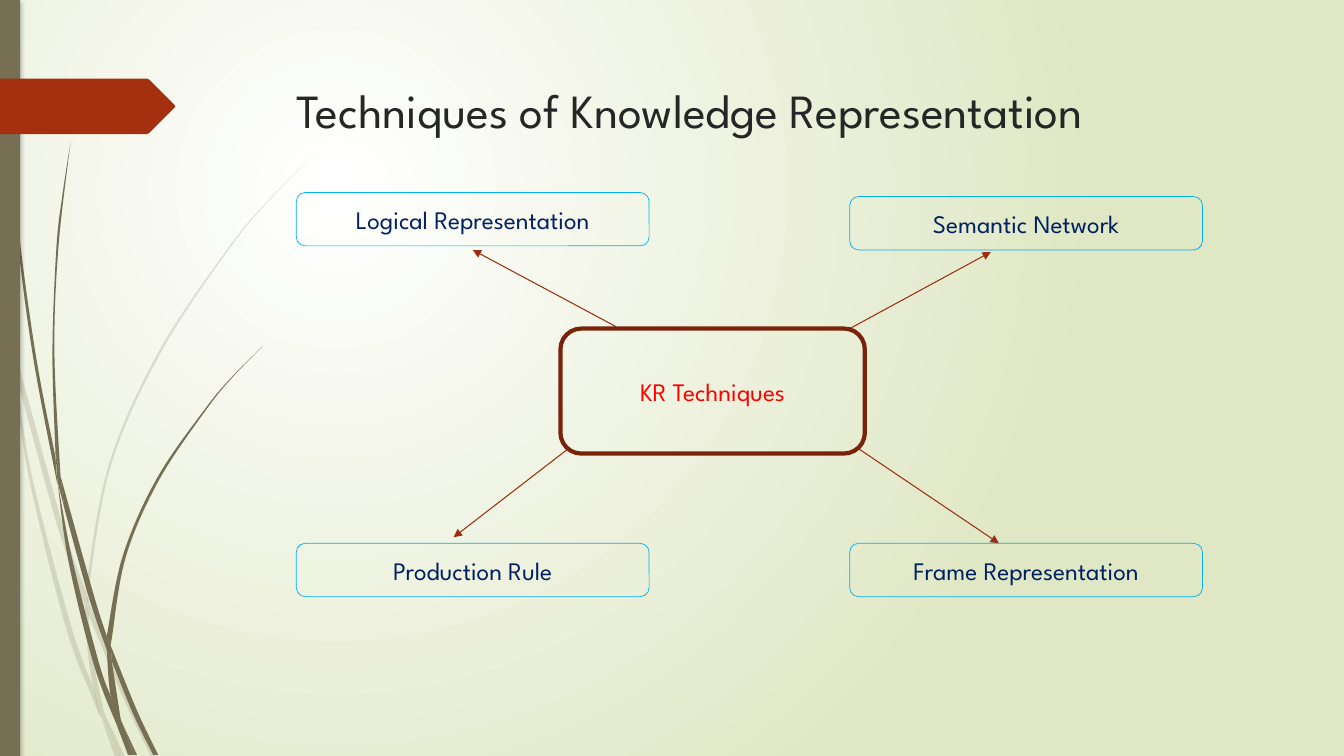
from lxml import etree
from pptx import Presentation
from pptx import util as u
from pptx.dml.color import RGBColor
from pptx.enum import shapes, text
from pptx.oxml.ns import qn

FONT = "League Spartan"
OLIVE, RUST, SKY, NAVY = "766F54", "A53010", "00B0F0", "002060"
TITLE = "Techniques of Knowledge Representation"
BOXES = [
    ("KR Techniques", (5.56, 3.26, 3.02, 1.24), "7A230B", 3, "FF0000"),
    ("Logical Representation", (2.94, 1.91, 3.5, 0.53), SKY, 0.5, NAVY),
    ("Semantic Network", (8.43, 1.95, 3.5, 0.53), SKY, 0.5, NAVY),
    ("Production Rule", (2.94, 5.39, 3.5, 0.53), SKY, 0.5, NAVY),
    ("Frame Representation", (8.43, 5.39, 3.5, 0.53), SKY, 0.5, NAVY),
]
ARROWS = [
    ((6.11, 3.24), (4.69, 2.48)),
    ((8.43, 3.26), (9.83, 2.5)),
    ((5.64, 4.45), (4.5, 5.33)),
    ((8.5, 4.44), (9.91, 5.39)),
]
TAG = [(0, 0.78), (1.46, 0.78), (1.48, 0.79), (1.73, 1.04), (1.74, 1.055),
       (1.73, 1.07), (1.48, 1.32), (1.46, 1.33), (0, 1.33)]
PALE_BLADES = [
    ([(0, 2.82), (0.08, 3.22), (0.11, 3.5)], [(0.1, 3.44), (0, 2.99)]),
    ([(0.14, 3.45), (0.62, 5.2), (0.85, 5.86)],
     [(0.84, 5.99), (0.57, 5.22), (0.17, 3.76)]),
    ([(0.88, 5.96), (0.92, 6.07), (1.27, 6.91), (1.55, 7.51)],
     [(1.5, 7.51), (1.23, 6.94), (0.88, 6.1)]),
    ([(1.05, 7.11), (1.24, 7.51)], [(1.19, 7.51)]),
    ([(0.11, 3.5), (0.17, 3.76), (0.31, 4.69), (0.7, 6.19), (0.93, 6.83)],
     [(1.01, 7.14), (0.92, 6.93), (0.65, 6.21), (0.28, 4.7), (0.11, 3.5)]),
    ([(0.84, 5.99), (0.87, 6.46), (0.93, 6.83), (1.05, 7.11)],
     [(1.03, 7.06), (0.91, 6.46), (0.88, 6.08)]),
    ([(3.12, 1.53), (2.68, 1.97), (2.28, 2.44), (1.58, 3.48), (1.08, 4.61), (0.85, 5.84)],
     [(0.88, 5.96), (0.88, 5.84), (1.1, 4.62), (1.6, 3.49), (2.29, 2.45),
      (2.68, 1.98), (3.12, 1.53)]),
    ([(1.01, 7.14), (1.14, 7.51)], [(1.19, 7.51), (1.01, 7.14)]),
    ([(0.85, 5.86), (0.84, 5.99)], [(0.88, 6.1), (0.88, 5.96)]),
    ([(0.93, 6.83), (0.99, 7.07), (1.19, 7.51)], [(1.05, 7.11), (0.96, 6.92)]),
]
DARK_BLADES = [
    ([(0.04, 0), (0.08, 1.09), (0.19, 2.32), (0.36, 3.55), (0.55, 4.53)],
     [(0.57, 4.81), (0.33, 3.55), (0.17, 2.33), (0.07, 1.1), (0.03, 0)]),
    ([(0.6, 4.72), (0.93, 5.9), (1.06, 6.31)],
     [(1.06, 6.45), (0.88, 5.92), (0.64, 5.05)]),
    ([(1.1, 6.41), (1.36, 7.05), (1.57, 7.49)],
     [(1.52, 7.49), (1.32, 7.08), (1.11, 6.56)]),
    ([(0.57, 4.77), (0.72, 5.56), (0.98, 6.57), (1.1, 6.91)],
     [(1.17, 7.22), (0.93, 6.59), (0.68, 5.57), (0.57, 4.77)]),
    ([(0.7, 1.41), (0.62, 1.93), (0.56, 2.45), (0.52, 3.49), (0.55, 4.49)],
     [(0.6, 4.72), (0.54, 3.49), (0.58, 2.45), (0.7, 1.41)]),
    ([(1.22, 7.19), (1.33, 7.49)], [(1.36, 7.49), (1.22, 7.19)]),
    ([(0.55, 4.49), (0.57, 4.77)], [(0.64, 5.05), (0.6, 4.72)]),
    ([(2.6, 3.44), (2.31, 3.73), (2.04, 4.05), (1.56, 4.74), (1.22, 5.51), (1.06, 6.31)],
     [(1.1, 6.41), (1.11, 6.33), (1.25, 5.52), (1.58, 4.76), (2.05, 4.06),
      (2.31, 3.74), (2.6, 3.44)]),
    ([(1.17, 7.22), (1.27, 7.49)], [(1.31, 7.49)]),
    ([(1.06, 6.45), (1.1, 6.91), (1.22, 7.19)], [(1.2, 7.15), (1.11, 6.56)]),
    ([(1.06, 6.31), (1.06, 6.45)], [(1.11, 6.56), (1.1, 6.41)]),
    ([(1.1, 6.91), (1.17, 7.22), (1.3, 7.49)], [(1.33, 7.49), (1.22, 7.19)]),
]


def color(value):
    return RGBColor.from_string(value)


def child(parent, tag, **attributes):
    return etree.SubElement(parent, qn(tag), {k: str(v) for k, v in attributes.items()})


def paint(shape, fill):
    shape.shadow.inherit = False
    shape.fill.solid()
    shape.fill.fore_color.rgb = color(fill)
    shape.line.fill.background()


def add_outline(slide, points, fill):
    corners = [(u.Inches(x), u.Inches(y)) for x, y in points]
    builder = slide.shapes.build_freeform(*corners[0])
    builder.add_line_segments(corners[1:], close=True)
    shape = builder.convert_to_shape()
    paint(shape, fill)
    return shape


def curve_controls(edge):
    ends = [edge[0], *edge, edge[-1]]
    for a, b, c, d in zip(ends, ends[1:], ends[2:], ends[3:]):
        yield [tuple(q + (r - p) / 6 for p, q, r in zip(a, b, c)),
               tuple(r - (s - q) / 6 for q, r, s in zip(b, c, d)), c]


def add_blade(slide, outward, back, opacity):
    shape = add_outline(slide, outward + back, OLIVE)
    lines = shape.element.findall(".//" + qn("a:lnTo"))
    curves = [*curve_controls(outward), None, *curve_controls(back)]
    for line, controls in zip(lines, curves):
        if controls:
            line.tag = qn("a:cubicBezTo")
            line.remove(line[0])
            for x, y in controls:
                child(line, "a:pt", x=u.Inches(x) - shape.left, y=u.Inches(y) - shape.top)
    if opacity < 100:
        tone = shape.element.spPr.find(qn("a:solidFill"))[0]
        child(tone, "a:alpha", val=opacity * 1000)


def write(shape, words, size, ink):
    shape.text_frame.word_wrap = True
    paragraph = shape.text_frame.paragraphs[0]
    run = paragraph.add_run()
    run.text = words
    run.font.name = FONT
    run.font.size = u.Pt(size)
    run.font.color.rgb = color(ink)
    return paragraph


def add_background(slide):
    fill = slide.background.fill
    fill.gradient()
    for stop, (position, tone) in zip(fill.gradient_stops, [(0, "FFFFFF"), (1, "DFE7C4")]):
        stop.position = position
        stop.color.rgb = color(tone)
    gradient = slide.element.find(".//" + qn("a:gradFill"))
    gradient.remove(gradient.find(qn("a:lin")))
    circle = child(gradient, "a:path", path="circle")
    child(circle, "a:fillToRect", l=25000, t=25000, r=75000, b=75000)


def add_side_bar(slide):
    bar = slide.shapes.add_shape(shapes.MSO_SHAPE.RECTANGLE, 0, 0, u.Inches(0.2), u.Inches(7.5))
    paint(bar, OLIVE)
    effects = bar.element.spPr.find(qn("a:effectLst"))
    shadow = child(effects, "a:outerShdw", blurRad=u.Pt(3), dist=u.Pt(2), dir=5400000)
    child(child(shadow, "a:srgbClr", val="000000"), "a:alpha", val=25000)


def add_box(slide, words, place, border, width, ink):
    box = slide.shapes.add_shape(shapes.MSO_SHAPE.ROUNDED_RECTANGLE, *map(u.Inches, place))
    box.shadow.inherit = False
    box.fill.background()
    box.line.color.rgb = color(border)
    box.line.width = u.Pt(width)
    box.text_frame.vertical_anchor = text.MSO_ANCHOR.MIDDLE
    write(box, words, 18, ink).alignment = text.PP_ALIGN.CENTER


def add_arrow(slide, start, end):
    arrow = slide.shapes.add_connector(
        shapes.MSO_CONNECTOR.STRAIGHT, *map(u.Inches, start + end))
    arrow.line.color.rgb = color("9D2D0F")
    arrow.line.width = u.Pt(0.75)
    child(arrow.element.spPr.find(qn("a:ln")), "a:tailEnd", type="triangle")
    child(arrow.element.spPr, "a:effectLst")


def main():
    presentation = Presentation()
    presentation.slide_width = u.Inches(40 / 3)
    presentation.slide_height = u.Inches(7.5)
    slide = presentation.slides.add_slide(presentation.slide_layouts[6])
    add_background(slide)
    for blades, opacity in [(PALE_BLADES, 20), (DARK_BLADES, 100)]:
        for outward, back in blades:
            add_blade(slide, outward, back, opacity)
    add_side_bar(slide)
    add_outline(slide, TAG, RUST)
    title = slide.shapes.add_textbox(*map(u.Inches, (2.84, 0.75, 10.11, 1.4)))
    write(title, TITLE, 34, "262626")
    for arrow in ARROWS:
        add_arrow(slide, *arrow)
    for box in BOXES:
        add_box(slide, *box)
    presentation.save("out.pptx")


if __name__ == "__main__":
    main()
